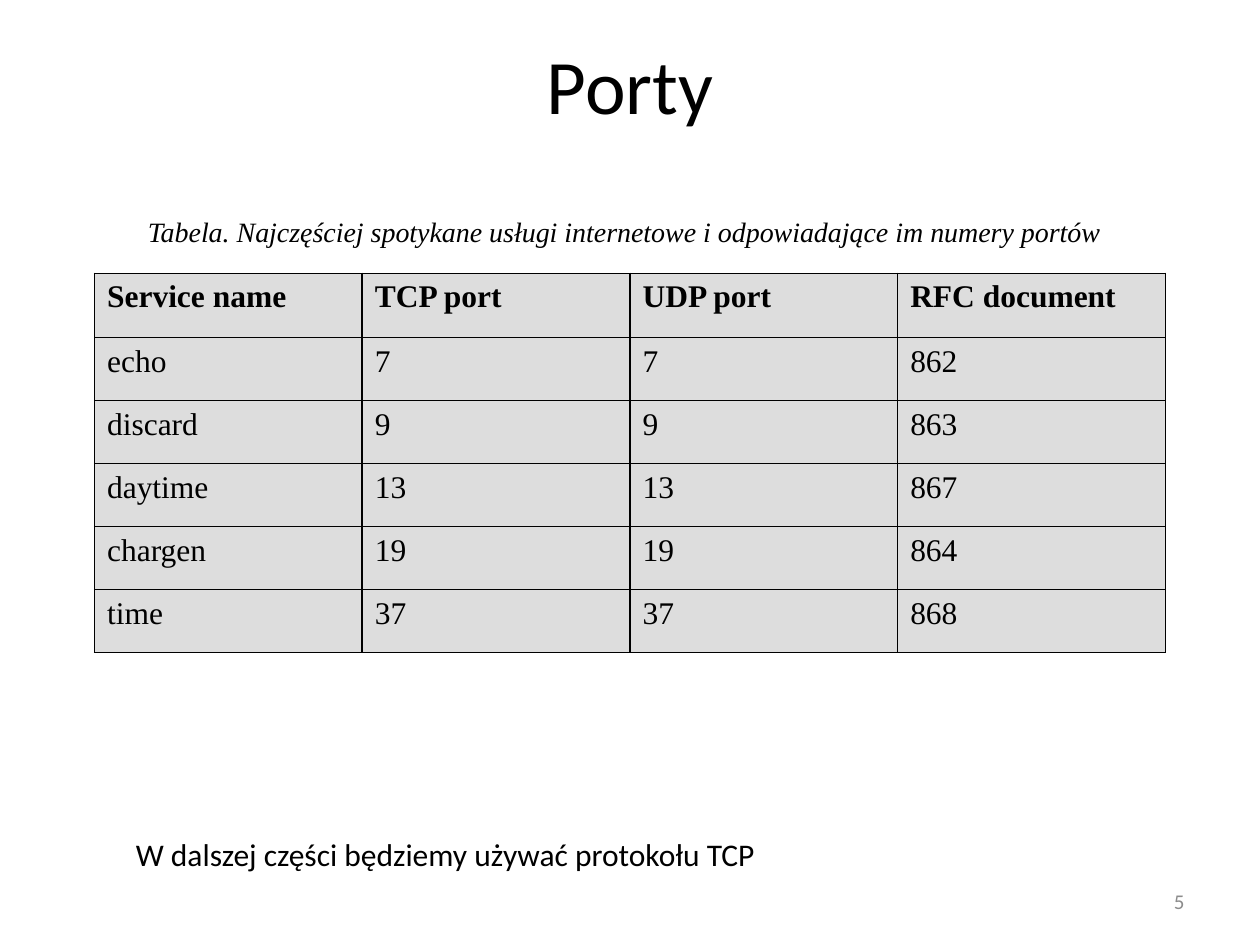
from lxml.etree import SubElement
from pptx import Presentation
from pptx.dml.color import RGBColor
from pptx.enum.text import MSO_ANCHOR, PP_ALIGN
from pptx.oxml.ns import qn
from pptx.util import Inches, Pt

COLORS = {"text": "000000", "number": "8C8C8C", "cell": "DDDDDD", "border": "000000"}
SANS, SERIF = "Calibri", "Times New Roman"

PORTS = [
    ("Service name", "TCP port", "UDP port", "RFC document"),
    ("echo", "7", "7", "862"),
    ("discard", "9", "9", "863"),
    ("daytime", "13", "13", "867"),
    ("chargen", "19", "19", "864"),
    ("time", "37", "37", "868"),
]


def write(frame, text, size, font, align, color="text", bold=False, italic=False):
    frame.text = text
    para = frame.paragraphs[0]
    para.alignment = align
    for span in para.runs:
        span.font.size = Pt(size)
        span.font.name = font
        span.font.bold = bold
        span.font.italic = italic
        span.font.color.rgb = RGBColor.from_string(COLORS[color])
    return para


def add_title(page, text):
    title = page.shapes.title
    title.left, title.top = Inches(0.75), Inches(0.04)
    title.width, title.height = Inches(8.5), Inches(1.25)
    title.text_frame.vertical_anchor = MSO_ANCHOR.MIDDLE
    write(title.text_frame, text, 44, SANS, PP_ALIGN.CENTER)


def add_text(page, text, place, size, font, align, anchor=MSO_ANCHOR.TOP, **style):
    box = page.shapes.add_textbox(*map(Inches, place))
    box.text_frame.word_wrap = True
    box.text_frame.vertical_anchor = anchor
    write(box.text_frame, text, size, font, align, **style)


def add_borders(cell):
    properties = cell._tc.get_or_add_tcPr()
    for side in ("lnL", "lnR", "lnT", "lnB"):
        line = SubElement(properties, qn(f"a:{side}"), w=str(Pt(1)))
        fill = SubElement(line, qn("a:solidFill"))
        SubElement(fill, qn("a:srgbClr"), val=COLORS["border"])


def fill_cell(cell, text, bold):
    add_borders(cell)
    cell.fill.solid()
    cell.fill.fore_color.rgb = RGBColor.from_string(COLORS["cell"])
    cell.margin_left = cell.margin_right = Inches(0.1)
    cell.margin_top = cell.margin_bottom = Inches(0.05)
    para = write(cell.text_frame, text, 18, SERIF, PP_ALIGN.JUSTIFY, bold=bold)
    hanging = Inches(0.38)
    indents = para._p.get_or_add_pPr()
    indents.set("marL", str(hanging))
    indents.set("indent", str(-hanging))


def add_port_table(page):
    frame = page.shapes.add_table(
        len(PORTS), len(PORTS[0]), Inches(0.75), Inches(2.17), Inches(8.5), Inches(3.01)
    )
    table = frame.table
    for row_index, values in enumerate(PORTS):
        table.rows[row_index].height = Inches(0.5 if row_index else 0.51)
        for column_index, value in enumerate(values):
            fill_cell(table.cell(row_index, column_index), value, bold=row_index == 0)


def main():
    deck = Presentation()
    deck.slide_width, deck.slide_height = Inches(10), Inches(7.5)
    page = deck.slides.add_slide(deck.slide_layouts[5])
    add_text(page, "5", (7.17, 6.95, 2.33, 0.4), 12, SANS, PP_ALIGN.RIGHT,
             MSO_ANCHOR.MIDDLE, color="number")
    add_title(page, "Porty")
    add_port_table(page)
    add_text(page, "W dalszej części będziemy używać protokołu TCP",
             (0.98, 6.58, 7.87, 0.4), 18, SANS, PP_ALIGN.LEFT)
    add_text(page, "Tabela. Najczęściej spotykane usługi internetowe i odpowiadające im numery portów",
             (0.78, 1.65, 8.35, 0.37), 16, SERIF, PP_ALIGN.CENTER, italic=True)
    deck.save("out.pptx")


if __name__ == "__main__":
    main()
